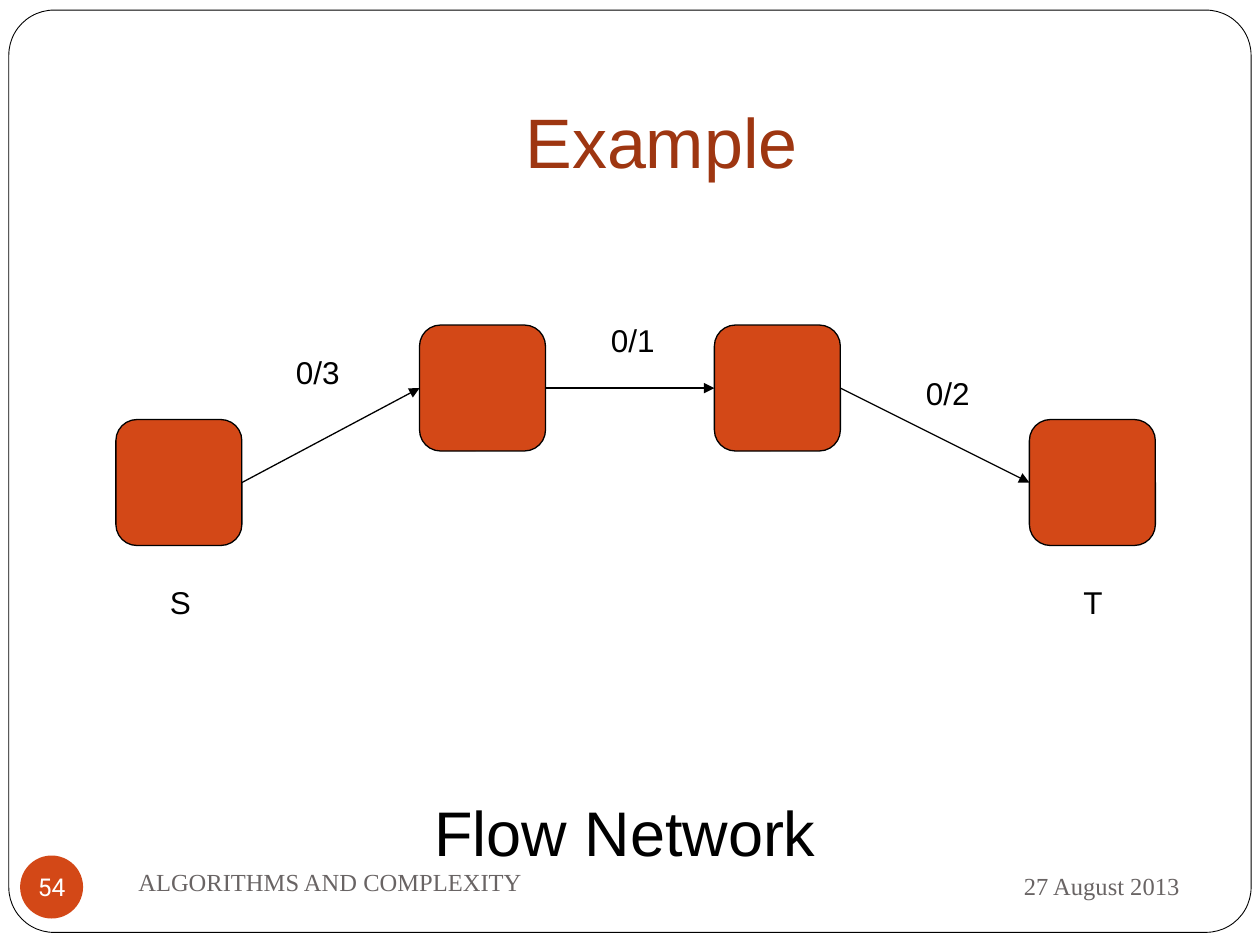
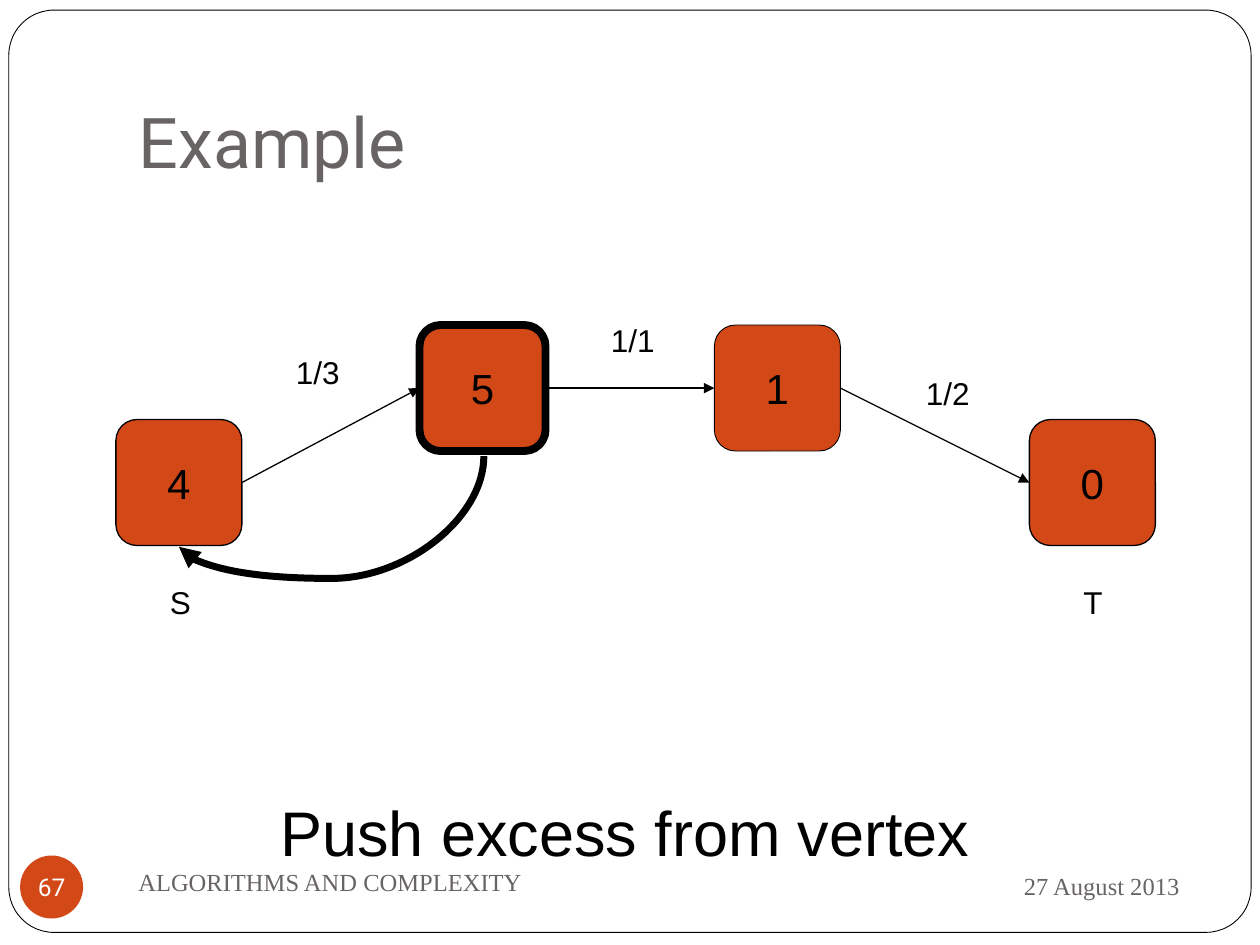
from itertools import pairwise

from pptx import Presentation
from pptx.dml.color import RGBColor
from pptx.enum.shapes import MSO_CONNECTOR as CXN, MSO_SHAPE as SHAPE
from pptx.enum.text import MSO_ANCHOR as ANCHOR, MSO_AUTO_SIZE as FIT, PP_ALIGN as ALIGN
from pptx.oxml.ns import qn
from pptx.util import Inches, Pt

BLACK = RGBColor(0x00, 0x00, 0x00)
WHITE = RGBColor(0xFF, 0xFF, 0xFF)
ORANGE = RGBColor(0xD3, 0x48, 0x17)
RUST = RGBColor(0x9E, 0x36, 0x11)
GREY = RGBColor(0x69, 0x64, 0x64)

TITLE = dict(name="Roboto", size=Pt(40))
CAPTION = dict(name="Arial", size=Pt(36), color=BLACK)
EXCESS = dict(name="Arial", size=Pt(24), color=BLACK)
LABEL = dict(name="Arial", size=Pt(18), color=BLACK)
FOOTER = dict(name="Times New Roman", size=Pt(14), color=GREY)
BADGE = dict(name="Roboto", size=Pt(14), color=WHITE)

NODE_SIZE = 1
NODE_SPOTS = [(0.92, 3.33), (3.33, 2.58), (5.67, 2.58), (8.17, 3.33)]
EDGE_LABEL_SPOTS = [(2.25, 2.75), (4.75, 2.5), (7.25, 2.92)]
END_LABELS = [("S", 1.25, 0.37), ("T", 8.5, 0.35)]
LEFT, BOTTOM, RIGHT = 1, 2, 3  # connection sites of a rounded rectangle


def inches(*values):
    return [Inches(v) for v in values]


class Deck:
    def __init__(self):
        self.prs = Presentation()
        self.prs.slide_width, self.prs.slide_height = inches(10, 7.5)
        self.s = None

    def new_slide(self, title, number, **title_style):
        first = self.s is None
        self.s = self.prs.slides.add_slide(self.prs.slide_layouts[5])
        if first:
            self.master_frame()
        self.title(title, **title_style)
        self.text("27 August 2013", (6.75, 6.77, 2.71, 0.52), FOOTER,
                  align=ALIGN.RIGHT, anchor=ANCHOR.MIDDLE)
        self.text("ALGORITHMS AND COMPLEXITY", (1, 6.75, 4.33, 0.5), FOOTER,
                  anchor=ANCHOR.MIDDLE)
        badge = self.shape(SHAPE.OVAL, (0.16, 6.79, 0.5, 0.5), ORANGE)
        self.set_text(badge.text_frame, str(number), BADGE, ALIGN.CENTER,
                      ANCHOR.MIDDLE, wrap=False, margins=(0, 0, 0, 0))

    def master_frame(self):
        """Put the rounded page frame at the back of the slide master."""
        frame = self.shape(SHAPE.ROUNDED_RECTANGLE, (0.07, 0.08, 9.86, 7.32),
                           WHITE, 0.5, corner=0.049)
        frame.element.nvSpPr.cNvPr.set("id", "99")
        self.prs.slide_master.shapes.element.insert(2, frame.element)

    def set_text(self, tf, text, style, align=ALIGN.LEFT, anchor=ANCHOR.TOP,
                 wrap=True, margins=(0.1, 0.05, 0.1, 0.05), fit=FIT.NONE):
        left, top, right, bottom = inches(*margins)
        layout = dict(word_wrap=wrap, auto_size=fit, vertical_anchor=anchor,
                      margin_left=left, margin_top=top,
                      margin_right=right, margin_bottom=bottom)
        for name, value in layout.items():
            setattr(tf, name, value)
        p = tf.paragraphs[0]
        p.alignment = align
        r = p.add_run()
        r.text = text
        for name, value in style.items():
            if name == "color":
                r.font.color.rgb = value
            else:
                setattr(r.font, name, value)

    def title(self, text, align=ALIGN.LEFT, **style):
        sp = self.s.shapes.title
        sp.left, sp.top, sp.width, sp.height = inches(1, 0.3, 8.5, 1.25)
        self.set_text(sp.text_frame, text, TITLE | style, align, ANCHOR.BOTTOM,
                      margins=(0.1, 0.05, 0.1, 0.1))

    def text(self, text, box, style, **layout):
        sp = self.s.shapes.add_textbox(*inches(*box))
        self.set_text(sp.text_frame, text, style, **layout)

    def label(self, text, left, top, width):
        self.text(text, (left, top, width, 0.4), LABEL, wrap=False,
                  fit=FIT.SHAPE_TO_FIT_TEXT)

    def shape(self, kind, box, fill, line=None, corner=None):
        sp = self.s.shapes.add_shape(kind, *inches(*box))
        sp.shadow.inherit = False
        sp.fill.solid()
        sp.fill.fore_color.rgb = fill
        if line is None:
            sp.line.fill.background()
        else:
            sp.line.color.rgb = BLACK
            sp.line.width = Pt(line)
        if corner is not None:
            sp.adjustments[0] = corner
        return sp

    def node(self, spot, excess, line):
        sp = self.shape(SHAPE.ROUNDED_RECTANGLE, (*spot, NODE_SIZE, NODE_SIZE),
                        ORANGE, line, corner=0.167)
        if excess is not None:
            self.set_text(sp.text_frame, str(excess), EXCESS, ALIGN.CENTER,
                          ANCHOR.MIDDLE, wrap=False)
        return sp

    def arrow(self, start, end, sites=(RIGHT, LEFT), kind=CXN.STRAIGHT, width=0.75):
        cxn = self.s.shapes.add_connector(kind, 0, 0, 0, 0)
        cxn.begin_connect(start, sites[0])
        cxn.end_connect(end, sites[1])
        cxn.line.color.rgb = BLACK
        cxn.line.width = Pt(width)
        sp_pr = cxn.element.spPr
        ln = sp_pr.find(qn("a:ln"))
        ln.append(ln.makeelement(qn("a:tailEnd"), {"type": "triangle"}))
        sp_pr.append(sp_pr.makeelement(qn("a:effectLst"), {}))
        return cxn

    def push_back(self, start, end):
        """Curve from the bottom of one node round to the bottom of another."""
        cxn = self.arrow(start, end, (BOTTOM, BOTTOM), CXN.CURVE, 4)
        cxn.left, cxn.top, cxn.width, cxn.height = inches(2.27, 2.77, 0.72, 2.42)
        sp_pr = cxn.element.spPr
        xfrm = sp_pr.find(qn("a:xfrm"))
        for name, value in dict(rot="5400000", flipH="0", flipV="0").items():
            xfrm.set(name, value)
        guides = sp_pr.find(qn("a:prstGeom")).find(qn("a:avLst"))
        guides.append(guides.makeelement(
            qn("a:gd"), {"name": "adj1", "fmla": "val 134800"}))

    def flow_network(self, caption, flows, excesses, lines):
        nodes = [self.node(*args) for args in zip(NODE_SPOTS, excesses, lines)]
        for start, end in pairwise(nodes):
            self.arrow(start, end)
        for flow, spot in zip(flows, EDGE_LABEL_SPOTS):
            self.label(flow, *spot, 0.55)
        for name, left, width in END_LABELS:
            self.label(name, left, 4.58, width)
        self.text(caption, (1, 6.25, 7.92, 0.7), CAPTION, align=ALIGN.CENTER,
                  fit=FIT.SHAPE_TO_FIT_TEXT)
        return nodes


def main():
    deck = Deck()

    deck.new_slide("Example", 54, align=ALIGN.CENTER, name="Arial", color=RUST)
    deck.flow_network("Flow Network", ["0/3", "0/1", "0/2"], [None] * 4, [0.75] * 4)

    deck.new_slide("Example", 67, color=GREY)
    source, active, *_ = deck.flow_network(
        "Push excess from vertex", ["1/3", "1/1", "1/2"],
        [4, 5, 1, 0], [0.75, 4.5, 0.5, 0.75])
    deck.push_back(active, source)

    deck.prs.save("out.pptx")


if __name__ == "__main__":
    main()
